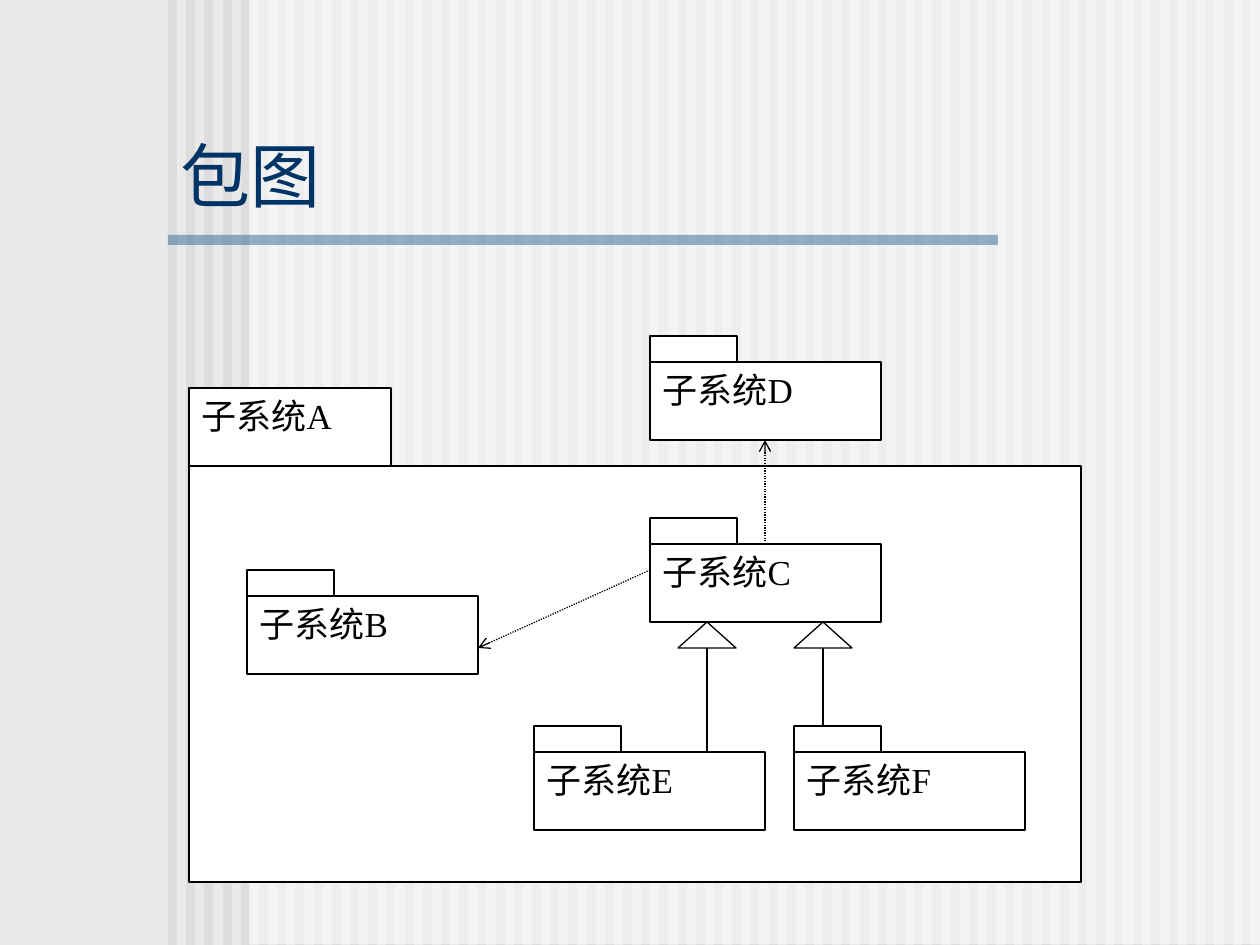
from dataclasses import dataclass

from lxml.etree import SubElement
from pptx import Presentation
from pptx.dml.color import RGBColor
from pptx.enum.dml import MSO_LINE_DASH_STYLE as Dash
from pptx.enum.shapes import MSO_CONNECTOR as Connector, MSO_SHAPE as Shape
from pptx.enum.text import MSO_ANCHOR as Anchor, PP_ALIGN as Align
from pptx.oxml.ns import qn
from pptx.util import Pt

PX = 914400 / 126


@dataclass(frozen=True)
class Theme:
    backdrop: str = "EAEAEA"
    stripe: str = "DDDDDD"
    paper: str = "FFFFFF"
    rule: str = "336699"
    title: str = "003366"
    ink: str = "000000"
    title_font: str = "Arial"
    label_font: str = "Times New Roman"
    title_size: int = 40
    label_size: int = 20
    line_width: float = 0.75


theme = Theme()
deck = Presentation()
deck.slide_width, deck.slide_height = round(1260 * PX), round(945 * PX)
page = deck.slides.add_slide(deck.slide_layouts[6])
page.background.fill.solid()
page.background.fill.fore_color.rgb = RGBColor.from_string(theme.backdrop)


def add_box(bounds, color, kind=Shape.RECTANGLE, outlined=True, opacity=100):
    """Add a filled shape; bounds are left, top, width and height in px."""
    box = page.shapes.add_shape(kind, *(round(length * PX) for length in bounds))
    box.shadow.inherit = False
    box.fill.solid()
    box.fill.fore_color.rgb = RGBColor.from_string(color)
    if opacity < 100:
        tint = box.fill._xPr.find(qn("a:solidFill"))[0]
        SubElement(tint, qn("a:alpha"), val=str(opacity * 1000))
    if outlined:
        box.line.color.rgb = RGBColor.from_string(theme.ink)
        box.line.width = Pt(theme.line_width)
    else:
        box.line.fill.background()
    return box


def write(box, text, font, size, color, align, anchor):
    frame = box.text_frame
    frame.word_wrap = True
    frame.vertical_anchor = anchor
    frame.text = text
    para = frame.paragraphs[0]
    para.alignment = align
    span = para.runs[0]
    span.font.name = font
    span.font.size = Pt(size)
    span.font.color.rgb = RGBColor.from_string(color)


# Striped backdrop, veil and title rule
for index in range(60):
    add_box((168 + round(18.2 * index), 0, 9, 945), theme.stripe, outlined=False)
add_box((249, 0, 1011, 944), theme.paper, outlined=False, opacity=50)
add_box((168, 235, 830, 10), theme.rule, outlined=False, opacity=50)

title = page.shapes.add_textbox(*(round(length * PX) for length in (168, 136, 924, 87)))
write(title, "包图", theme.title_font, theme.title_size, theme.title,
      Align.LEFT, Anchor.BOTTOM)

# Packages: name, body bounds, tab size; the tab of A carries its name
packages = [
    ("A", (189, 466, 892, 416), (202, 78)),
    ("D", (650, 362, 231, 78), (87, 26)),
    ("B", (247, 596, 231, 78), (87, 26)),
    ("C", (650, 544, 231, 78), (87, 26)),
    ("E", (534, 752, 231, 78), (87, 26)),
    ("F", (794, 752, 231, 78), (87, 26)),
]
for name, bounds, (tab_width, tab_height) in packages:
    left, top = bounds[:2]
    body = add_box(bounds, theme.paper)
    tab = add_box((left, top - tab_height, tab_width, tab_height), theme.paper)
    write(tab if name == "A" else body, f"子系统{name}", theme.label_font,
          theme.label_size, theme.ink, Align.JUSTIFY, Anchor.TOP)

# Inheritance heads below C
for left in (678, 794):
    add_box((left, 622, 58, 26), theme.paper, kind=Shape.ISOSCELES_TRIANGLE)

# Relations: start, end, whether it is a dotted dependency
relations = [
    ((765, 544), (765, 440), True),
    ((650, 570), (478, 648), True),
    ((707, 648), (707, 752), False),
    ((823, 648), (823, 726), False),
]
for start, end, dependency in relations:
    link = page.shapes.add_connector(
        Connector.STRAIGHT, *(round(length * PX) for length in start + end))
    link.line.color.rgb = RGBColor.from_string(theme.ink)
    link.line.width = Pt(theme.line_width)
    if dependency:
        link.line.dash_style = Dash.ROUND_DOT
        SubElement(link.line._get_or_add_ln(), qn("a:tailEnd"), type="arrow")
    SubElement(link._element.spPr, qn("a:effectLst"))

deck.save("out.pptx")
